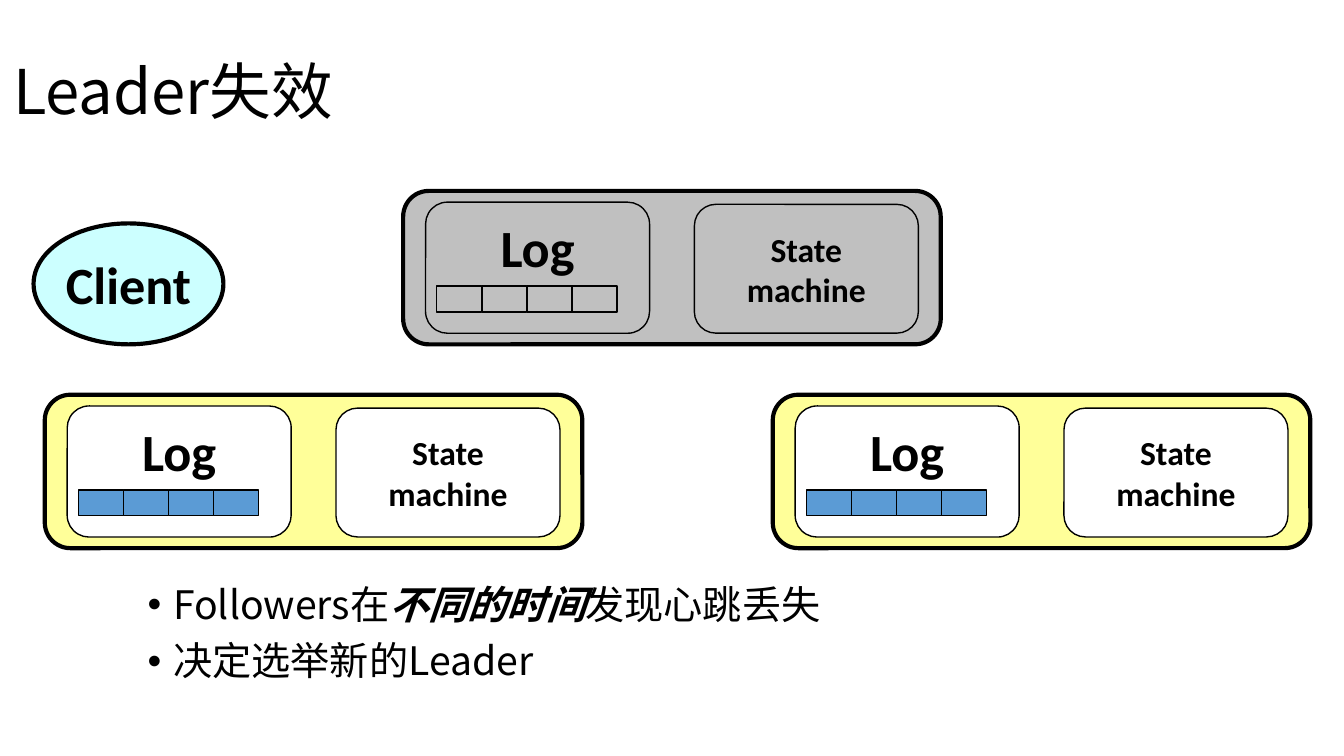
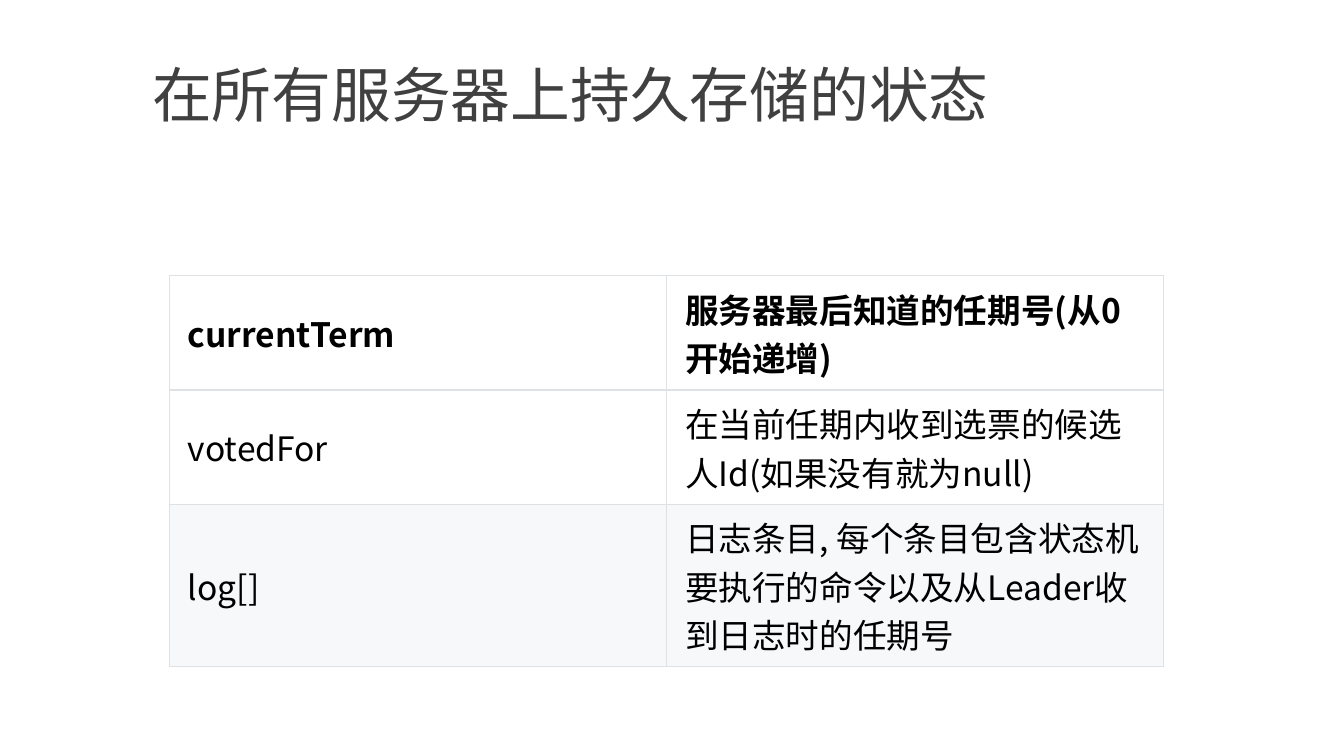
"""Build two slides on leader failure and persistent server state."""
from dataclasses import dataclass
from typing import Any

from lxml.etree import SubElement
from pptx import Presentation
from pptx.dml.color import RGBColor
from pptx.enum.shapes import MSO_SHAPE
from pptx.enum.text import MSO_ANCHOR, PP_ALIGN
from pptx.oxml.ns import qn
from pptx.util import Inches, Pt

COLUMNS, ROWS = 120, 67.5
SLIDE_W, SLIDE_H = Inches(10), Inches(5.625)
SANS, LATIN, TITLE = "Noto Sans CJK SC", "Calibri", "Arial"

BLACK = RGBColor(0x00, 0x00, 0x00)
WHITE = RGBColor(0xFF, 0xFF, 0xFF)
DARK_GREY = RGBColor(0x40, 0x40, 0x40)
DEAD_GREY = RGBColor(0xC0, 0xC0, 0xC0)
CYAN = RGBColor(0xCC, 0xFF, 0xFF)
YELLOW = RGBColor(0xFF, 0xFF, 0x99)
BLUE = RGBColor(0x5B, 0x9B, 0xD5)
ROW_TINT = RGBColor(0xF6, 0xF8, 0xFA)
BORDER = RGBColor(0xDF, 0xE2, 0xE5)


@dataclass(frozen=True)
class Box:
    """A rectangle in grid columns and rows."""
    col: float
    row: float
    cols: float
    rows: float

    def inside(self, col: float, row: float, cols: float, rows: float) -> "Box":
        """Return a box placed relative to this one."""
        return Box(self.col + col, self.row + row, cols, rows)

    def emu(self) -> tuple[int, int, int, int]:
        """Return left, top, width and height on the slide."""
        dx, dy = SLIDE_W / COLUMNS, SLIDE_H / ROWS
        return (round(self.col * dx), round(self.row * dy),
                round(self.cols * dx), round(self.rows * dy))


@dataclass(frozen=True)
class Server:
    """A server with its position and colours."""
    col: float
    row: float
    body: RGBColor
    panel: RGBColor
    entry: RGBColor


@dataclass(frozen=True)
class StateRow:
    """A table row with its height in grid rows."""
    name: str
    meaning: str
    rows: float
    fill: RGBColor = WHITE
    bold: bool = False


SERVERS = (
    Server(36, 17.05, DEAD_GREY, DEAD_GREY, DEAD_GREY),
    Server(4, 35.25, YELLOW, WHITE, BLUE),
    Server(69, 35.25, YELLOW, WHITE, BLUE),
)
STATE_ROWS = (
    StateRow("currentTerm", "服务器最后知道的任期号(从0开始递增)", 10.2, bold=True),
    StateRow("votedFor", "在当前任期内收到选票的候选人Id(如果没有就为null)", 10.2),
    StateRow("log[]", "日志条目, 每个条目包含状态机要执行的命令以及从Leader收到日志时的任期号",
             14.5, fill=ROW_TINT),
)


def add_text(p: Any, text: str, *, size: float, font: str = SANS,
             color: RGBColor = BLACK, bold: bool = False,
             italic: bool = False) -> None:
    """Append a formatted run to a paragraph."""
    r = p.add_run()
    r.text = text
    f = r.font
    f.name, f.size, f.bold, f.italic = font, Pt(size), bold, italic
    f.color.rgb = color
    SubElement(f._element, qn("a:ea"), typeface=SANS)


def paragraphs(tf: Any, count: int) -> list[Any]:
    """Return the given number of paragraphs of an empty frame."""
    return [tf.paragraphs[0], *(tf.add_paragraph() for _ in range(count - 1))]


def add_box(s: Any, box: Box, *, anchor: MSO_ANCHOR) -> Any:
    """Add a wrapping text box and return its frame."""
    tf = s.shapes.add_textbox(*box.emu()).text_frame
    tf.word_wrap, tf.vertical_anchor = True, anchor
    return tf


def add_shape(shapes: Any, kind: MSO_SHAPE, box: Box, fill: RGBColor, *,
              line: float = 0.75, lines: tuple[str, ...] = (), size: float = 18,
              anchor: MSO_ANCHOR = MSO_ANCHOR.MIDDLE) -> None:
    """Add an outlined shape with optional centred bold lines."""
    sp = shapes.add_shape(kind, *box.emu())
    sp.shadow.inherit = False
    sp.fill.solid()
    sp.fill.fore_color.rgb = fill
    sp.line.color.rgb, sp.line.width = BLACK, Pt(line)
    if not lines:
        return
    tf = sp.text_frame
    tf.word_wrap, tf.vertical_anchor = False, anchor
    for p, text in zip(paragraphs(tf, len(lines)), lines):
        p.alignment = PP_ALIGN.CENTER
        add_text(p, text, size=size, font=LATIN, bold=True)


def add_server(s: Any, server: Server) -> None:
    """Draw a server with its log and state machine."""
    shapes = s.shapes.add_group_shape().shapes
    box = Box(server.col, server.row, 48, 13.7)
    rounded = MSO_SHAPE.ROUNDED_RECTANGLE
    add_shape(shapes, rounded, box, server.body, line=2.25)
    add_shape(shapes, rounded, box.inside(26, 1.2, 20, 11.5), server.panel,
              lines=("State", "machine"))
    add_shape(shapes, rounded, box.inside(2, 1, 20, 11.7), server.panel,
              lines=("Log",), size=28, anchor=MSO_ANCHOR.TOP)
    for i in range(4):
        add_shape(shapes, MSO_SHAPE.RECTANGLE,
                  box.inside(3 + 4.02 * i, 8.5, 4.02, 2.3), server.entry)


def add_bullet(p: Any) -> None:
    """Give a paragraph a hanging bullet."""
    pPr = p._p.get_or_add_pPr()
    pPr.set("marL", str(Inches(0.19)))
    pPr.set("indent", str(-Inches(0.19)))
    SubElement(pPr, qn("a:buFont"), typeface="Arial")
    SubElement(pPr, qn("a:buChar"), char="•")
    p.line_spacing = 0.9


def add_borders(cell: Any) -> None:
    """Draw thin lines on all sides of a cell."""
    tcPr = cell._tc.get_or_add_tcPr()
    for side in ("lnL", "lnR", "lnT", "lnB"):
        ln = SubElement(tcPr, qn(f"a:{side}"), w=str(Pt(0.75)))
        fill = SubElement(ln, qn("a:solidFill"))
        SubElement(fill, qn("a:srgbClr"), val=str(BORDER))


def build_leader_failure(s: Any) -> None:
    """Draw the failed leader and its followers."""
    p = add_box(s, Box(0, 1.7, 114, 13.4),
                anchor=MSO_ANCHOR.MIDDLE).paragraphs[0]
    p.line_spacing = 0.9
    add_text(p, "Leader失效", size=33)

    tf = add_box(s, Box(12, 51.7, 108, 14.3), anchor=MSO_ANCHOR.TOP)
    found, elect = paragraphs(tf, 2)
    add_bullet(found)
    add_bullet(elect)
    elect.space_before = Pt(7.5)
    add_text(found, "Followers在", size=21)
    add_text(found, "不同的时间", size=21, bold=True, italic=True)
    add_text(found, "发现心跳丢失", size=21)
    add_text(elect, "决定选举新的Leader", size=21)

    add_shape(s.shapes, MSO_SHAPE.OVAL, Box(3, 19.95, 16.95, 10.8), CYAN,
              line=2.25, lines=("Client",), size=28)
    for server in SERVERS:
        add_server(s, server)


def build_persistent_state(s: Any) -> None:
    """Draw the table of state kept on every server."""
    tf = add_box(s, Box(12.4, 2.72, 94, 11.3), anchor=MSO_ANCHOR.MIDDLE)
    add_text(tf.paragraphs[0], "在所有服务器上持久存储的状态", size=32,
             font=TITLE, color=DARK_GREY)

    box = Box(15.1, 24.63, 88.8, sum(row.rows for row in STATE_ROWS))
    table = s.shapes.add_table(len(STATE_ROWS), 2, *box.emu()).table
    table.first_row = table.horz_banding = False
    for i, row in enumerate(STATE_ROWS):
        table.rows[i].height = round(row.rows * SLIDE_H / ROWS)
        for j, text in enumerate((row.name, row.meaning)):
            cell = table.cell(i, j)
            cell.vertical_anchor = MSO_ANCHOR.MIDDLE
            cell.margin_left = cell.margin_right = Inches(0.14)
            cell.margin_top = cell.margin_bottom = Inches(0.06)
            add_borders(cell)
            cell.fill.solid()
            cell.fill.fore_color.rgb = row.fill
            add_text(cell.text_frame.paragraphs[0], text, size=18,
                     bold=row.bold)


def main() -> None:
    """Build and save the presentation."""
    prs = Presentation()
    prs.slide_width, prs.slide_height = SLIDE_W, SLIDE_H
    for build in (build_leader_failure, build_persistent_state):
        build(prs.slides.add_slide(prs.slide_layouts[6]))
    prs.save("out.pptx")


if __name__ == "__main__":
    main()
